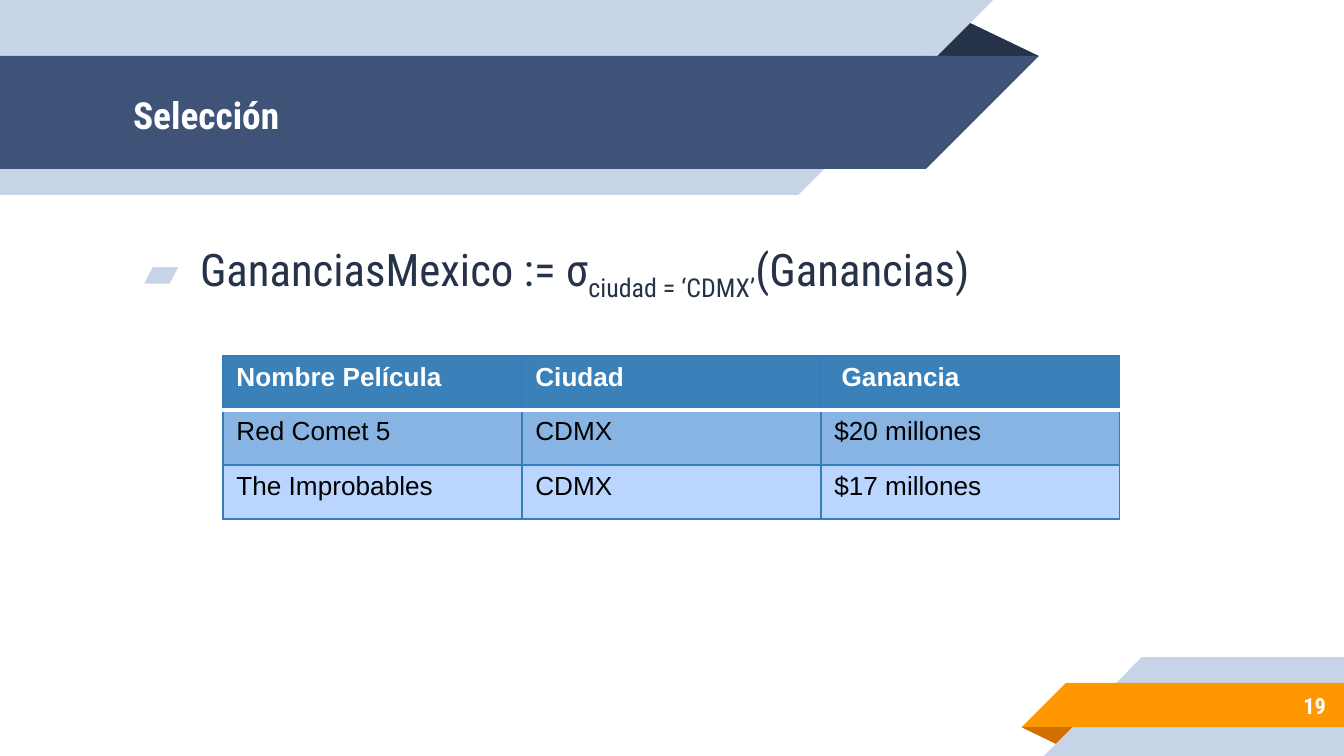
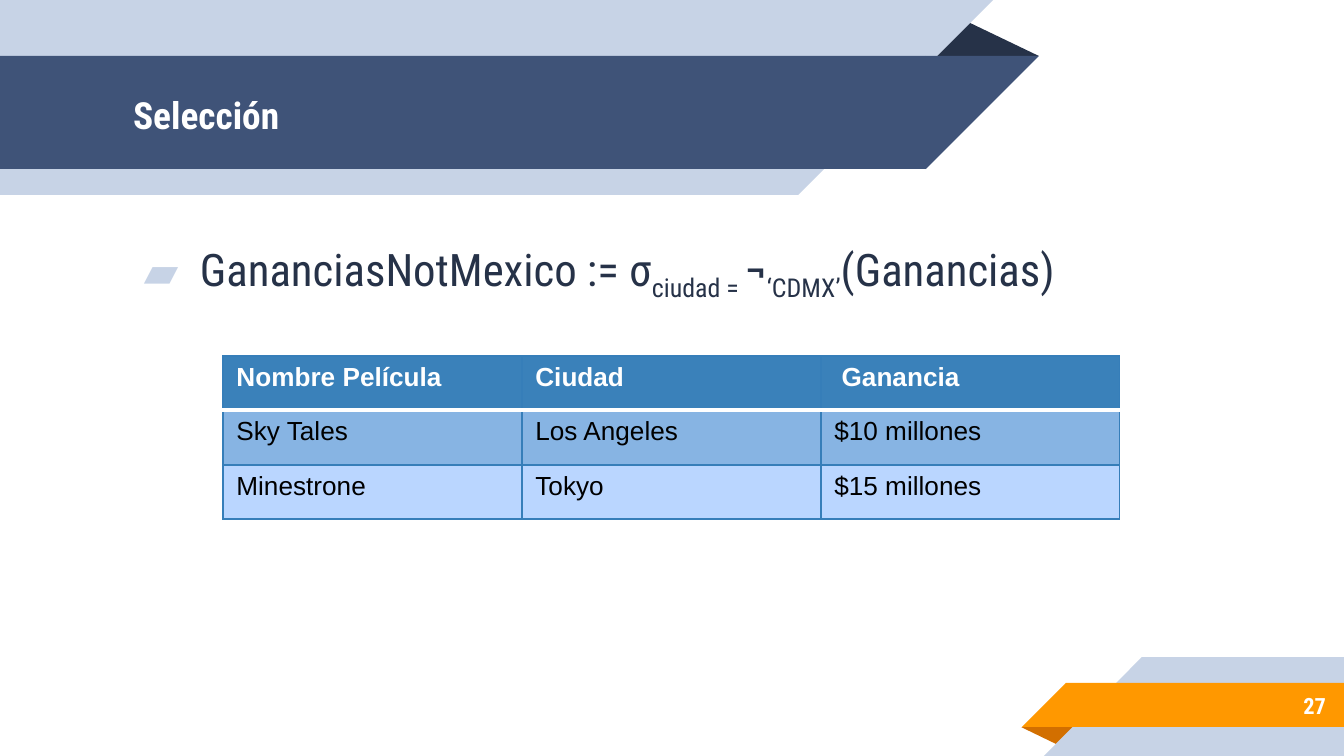
from lxml.etree import SubElement
from pptx import Presentation
from pptx.dml.color import RGBColor
from pptx.enum.shapes import MSO_SHAPE
from pptx.enum.text import MSO_ANCHOR, MSO_AUTO_SIZE, PP_ALIGN
from pptx.oxml.ns import qn
from pptx.util import Emu, Pt

NAVY = RGBColor(0x26, 0x32, 0x48)
BLUE = RGBColor(0x3F, 0x53, 0x78)
PALE = RGBColor(0xC7, 0xD3, 0xE6)
ORANGE = RGBColor(0xFF, 0x98, 0x00)
DARK_ORANGE = RGBColor(0xD2, 0x6F, 0x00)
WHITE = RGBColor(0xFF, 0xFF, 0xFF)
BLACK = RGBColor(0x00, 0x00, 0x00)
BORDER = RGBColor(0x36, 0x7E, 0xB9)
ROW_FILLS = [RGBColor(0x3A, 0x81, 0xBA), RGBColor(0x87, 0xB4, 0xE3), RGBColor(0xBA, 0xD6, 0xFF)]
CONDENSED = "Roboto Condensed"
INSET = 13


def px(value):
    return Emu(round(value * 914400 / 134.4))


def write_text(frame, text, size=20, color=WHITE, font=CONDENSED, bold=False,
               align=PP_ALIGN.LEFT, anchor=MSO_ANCHOR.MIDDLE, top=INSET, subscript=False):
    frame.word_wrap = True
    frame.auto_size = MSO_AUTO_SIZE.NONE
    frame.vertical_anchor = anchor
    frame.margin_left = frame.margin_right = frame.margin_bottom = px(INSET)
    frame.margin_top = px(top)
    paragraph = frame.paragraphs[0]
    paragraph.alignment = align
    run = paragraph.add_run()
    run.text = text
    run.font.size = Pt(size)
    run.font.name = font
    run.font.bold = bold
    run.font.color.rgb = color
    if subscript:
        run._r.get_or_add_rPr().set("baseline", "-25000")


RECTANGLE, TRIANGLE, CORNER = MSO_SHAPE.RECTANGLE, MSO_SHAPE.ISOSCELES_TRIANGLE, MSO_SHAPE.RIGHT_TRIANGLE
bands = [
    (TRIANGLE, 925, 19, 114, 37, NAVY, 0),
    (RECTANGLE, 0, 0, 798, 195, PALE, 0),
    (CORNER, 798, 0, 195, 195, PALE, 180),
    (RECTANGLE, 0, 56, 926, 113, BLUE, 0),
    (CORNER, 926, 56, 113, 113, BLUE, 180),
    (TRIANGLE, 1021, 727, 58, 19, DARK_ORANGE, 180),
    (RECTANGLE, 1142, 657, 202, 99, PALE, 0),
    (CORNER, 1044, 657, 98, 99, PALE, 0),
    (RECTANGLE, 1066, 683, 278, 44, ORANGE, 0),
    (CORNER, 1022, 683, 44, 44, ORANGE, 0),
]

header = ["Nombre Película", "Ciudad", " Ganancia"]
slides = [
    {
        "number": "19",
        "formula_width": 902,
        "formula": [("GananciasMexico := σ", False), ("ciudad = ‘CDMX’", True), ("(Ganancias)", False)],
        "films": [["Red Comet 5", "CDMX", "$20 millones"], ["The Improbables", "CDMX", "$17 millones"]],
    },
    {
        "number": "27",
        "formula_width": 1070,
        "formula": [("GananciasNotMexico := σ", False), ("ciudad = ", True), ("¬", False),
                    ("‘CDMX’", True), ("(Ganancias)", False)],
        "films": [["Sky Tales", "Los Angeles", "$10 millones"], ["Minestrone", "Tokyo", "$15 millones"]],
    },
]

presentation = Presentation()
presentation.slide_width = px(1344)
presentation.slide_height = px(756)
layout = presentation.slide_layouts[5]

for content in slides:
    slide = presentation.slides.add_slide(layout)

    if content is slides[0]:
        for index, (kind, left, top, width, height, color, rotation) in enumerate(bands):
            shape = slide.shapes.add_shape(kind, px(left), px(top), px(width), px(height))
            shape.shadow.inherit = False
            shape.fill.solid()
            shape.fill.fore_color.rgb = color
            shape.line.fill.background()
            shape.rotation = rotation
            if kind == TRIANGLE:
                shape.adjustments[0] = 0.324
            if kind == CORNER:
                shape.element.spPr.find(qn("a:xfrm")).set("flipH", "1")
            shape.element.nvSpPr.cNvPr.set("id", str(100 + index))
            layout.shapes.element.insert(2 + index, shape.element)

    title = slide.shapes.title
    title.left, title.top, title.width, title.height = px(120), px(58), px(808), px(113)
    write_text(title.text_frame, "Selección", bold=True)

    formula = slide.shapes.add_textbox(px(120), px(195), px(content["formula_width"]), px(462))
    for text, subscript in content["formula"]:
        write_text(formula.text_frame, text, size=24, color=NAVY, anchor=MSO_ANCHOR.TOP,
                   top=47, subscript=subscript)
    properties = formula.text_frame.paragraphs[0]._p.get_or_add_pPr()
    properties.set("marL", str(px(67)))
    properties.set("indent", str(px(-56)))
    bullet_color = SubElement(properties, qn("a:buClr"))
    SubElement(bullet_color, qn("a:srgbClr")).set("val", str(PALE))
    SubElement(properties, qn("a:buFont")).set("typeface", CONDENSED)
    SubElement(properties, qn("a:buChar")).set("char", "▰")

    number = slide.shapes.add_textbox(px(1120), px(682), px(219), px(47))
    write_text(number.text_frame, content["number"], size=12, bold=True, align=PP_ALIGN.RIGHT)

    rows = [header] + content["films"]
    table = slide.shapes.add_table(3, 3, px(223), px(356), px(897), px(163)).table
    for column in table.columns:
        column.width = px(299)
    for row, height in zip(table.rows, (54, 55, 54)):
        row.height = px(height)
    for row_index, values in enumerate(rows):
        for column_index, value in enumerate(values):
            cell = table.cell(row_index, column_index)
            paragraph = cell.text_frame.paragraphs[0]
            run = paragraph.add_run()
            run.text = value
            run.font.size = Pt(14)
            run.font.name = "Arial"
            run.font.bold = row_index == 0
            run.font.color.rgb = WHITE if row_index == 0 else BLACK
            cell_properties = cell._tc.get_or_add_tcPr()
            for side in ("lnL", "lnR", "lnT", "lnB"):
                under_header = (row_index, side) in ((0, "lnB"), (1, "lnT"))
                line = SubElement(cell_properties, qn(f"a:{side}"))
                line.set("w", str(Pt(2) if under_header else Pt(0.75)))
                line_fill = SubElement(line, qn("a:solidFill"))
                SubElement(line_fill, qn("a:srgbClr")).set("val", str(WHITE if under_header else BORDER))
            cell.fill.solid()
            cell.fill.fore_color.rgb = ROW_FILLS[row_index]

presentation.save("out.pptx")
